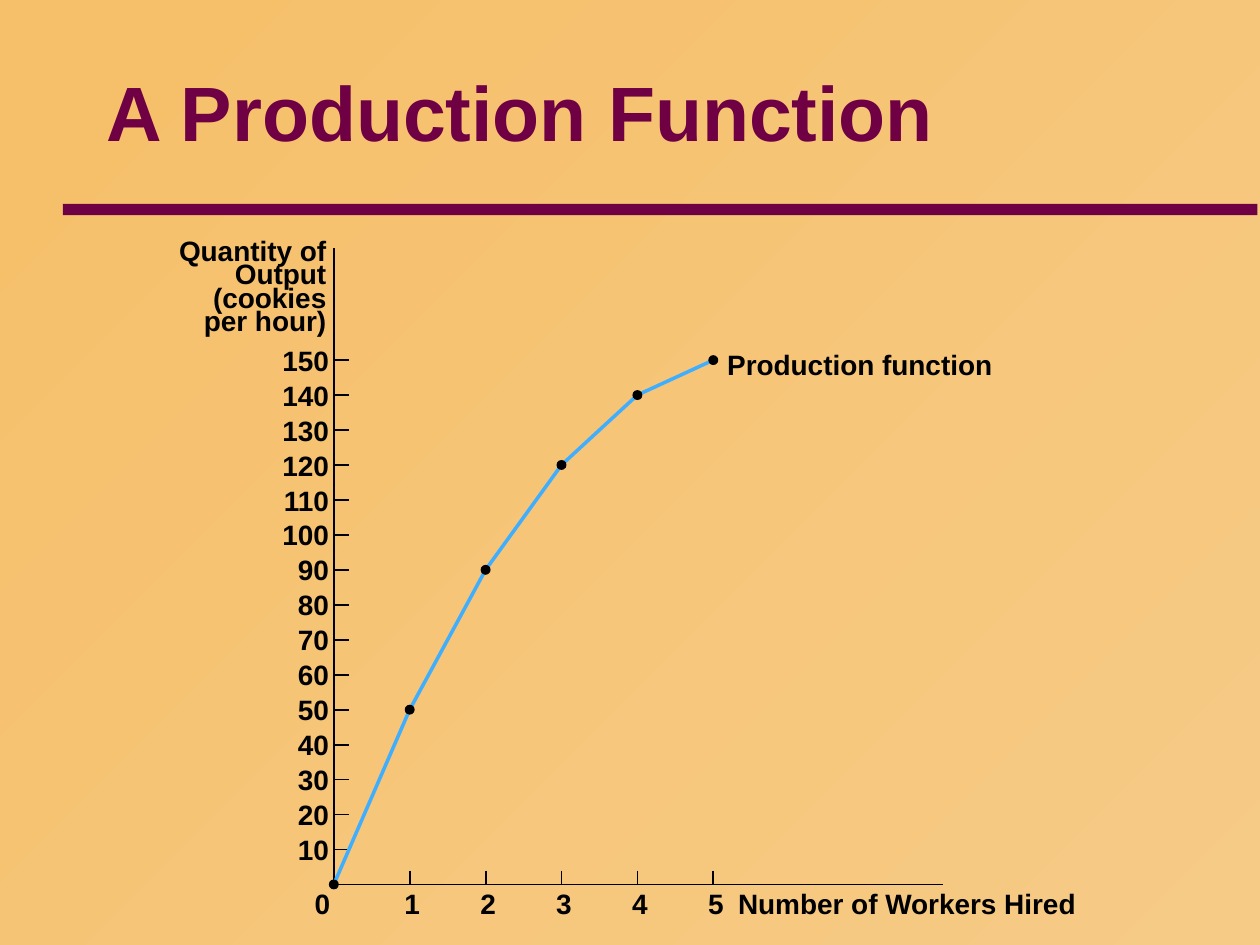
import lxml.etree
import pptx
import pptx.dml.color
import pptx.enum.shapes
import pptx.enum.text
import pptx.oxml.ns
import pptx.util

Cm = pptx.util.Cm
ALIGN = pptx.enum.text.PP_ALIGN
ANCHOR = pptx.enum.text.MSO_ANCHOR
SHAPE = pptx.enum.shapes.MSO_SHAPE

PLUM, BLACK, BLUE = "6E0043", "000000", "40AEFF"
LABEL_FONT = {"name": "Arial", "size": pptx.util.Pt(16), "bold": True}
TITLE_FONT = {**LABEL_FONT, "size": pptx.util.Pt(44)}
LABEL_FRAME = {"margin_left": 0, "margin_top": 0, "margin_right": 0,
               "margin_bottom": 0, "word_wrap": True}
LABEL_HEIGHT = 0.69
OUTPUT_BY_WORKERS = [0, 50, 90, 120, 140, 150]
WORKER_STEP = 1.53
COOKIE_STEP = 10.57 / 150


def color(hex_code):
    """Return the colour for a hex string."""
    return pptx.dml.color.RGBColor.from_string(hex_code)


def apply(target, values):
    """Set every attribute in values on target."""
    for attribute, value in values.items():
        setattr(target, attribute, value)


def write(frame, lines, font, hex_code, **paragraph_format):
    """Fill a text frame with one paragraph per line."""
    for index, line in enumerate(lines):
        paragraph = frame.paragraphs[0] if index == 0 else frame.add_paragraph()
        paragraph.text = line
        apply(paragraph, paragraph_format)
        apply(paragraph.font, font)
        paragraph.font.color.rgb = color(hex_code)


def add_label(shapes, lines, left, top, width, height=LABEL_HEIGHT, **paragraph_format):
    """Add a bold black label without margins."""
    label = shapes.add_textbox(Cm(left), Cm(top), Cm(width), Cm(height))
    apply(label.text_frame, LABEL_FRAME)
    write(label.text_frame, lines, LABEL_FONT, BLACK, **paragraph_format)


def add_tick(shapes, start, end):
    """Add a thin black tick between two points."""
    tick = shapes.add_connector(pptx.enum.shapes.MSO_CONNECTOR.STRAIGHT,
                                *(Cm(value) for value in (*start, *end)))
    tick.line.color.rgb = color(BLACK)
    tick.line.width = pptx.util.Pt(1)
    lxml.etree.SubElement(tick._element.spPr, pptx.oxml.ns.qn("a:effectLst"))


def add_path(shapes, points, hex_code, weight):
    """Add an open unfilled path through the points."""
    start, *rest = [(Cm(x), Cm(y)) for x, y in points]
    builder = shapes.build_freeform(*start)
    builder.add_line_segments(rest, close=False)
    path = builder.convert_to_shape()
    path.shadow.inherit = False
    path.fill.background()
    path.line.color.rgb = color(hex_code)
    path.line.width = pptx.util.Pt(weight)


def add_solid(shapes, kind, left, top, width, height, hex_code):
    """Add a filled shape without outline or shadow."""
    solid = shapes.add_shape(kind, Cm(left), Cm(top), Cm(width), Cm(height))
    solid.shadow.inherit = False
    solid.fill.solid()
    solid.fill.fore_color.rgb = color(hex_code)
    solid.line.fill.background()


def fill_background(slide):
    """Give the slide its diagonal amber gradient."""
    fill = slide.background.fill
    fill.gradient()
    fill.gradient_angle = 135
    for stop, hex_code in zip(fill.gradient_stops, ("F6CB86", "F6BF69")):
        stop.color.rgb = color(hex_code)


def build_heading(slide, left, top, width, height):
    """Place the title and the rule under it."""
    title = slide.shapes.title
    apply(title, {"left": Cm(left), "top": Cm(top),
                  "width": Cm(width), "height": Cm(height)})
    title.text_frame.vertical_anchor = ANCHOR.MIDDLE
    write(title.text_frame, ["A Production Function"], TITLE_FONT, PLUM,
          alignment=ALIGN.LEFT)
    add_solid(slide.shapes, SHAPE.RECTANGLE, left - 0.63, top + height + 0.3,
              24.08, 0.23, PLUM)


def build_axes(shapes, left, top, width, height):
    """Draw both axes with their ticks, numbers and titles."""
    bottom = top + height
    add_label(shapes, ["Quantity of", "Output", "(cookies", "per hour)"],
              left - 3.65, top - 0.1, 3.5, 1.9,
              alignment=ALIGN.RIGHT, line_spacing=pptx.util.Pt(13.5))
    for cookies in range(150, 0, -10):
        y = bottom - cookies * COOKIE_STEP
        add_label(shapes, [str(cookies)], left - 1.6, y - 0.34, 1.5,
                  alignment=ALIGN.RIGHT)
        add_tick(shapes, (left, y), (left + 0.3, y))
    for workers in range(6):
        x = left + workers * WORKER_STEP
        center = x + 0.05 if workers else x - 0.23
        add_label(shapes, [str(workers)], center - 0.3, bottom + 0.05, 0.6,
                  alignment=ALIGN.CENTER)
        if workers:
            add_tick(shapes, (x, bottom - 0.28), (x, bottom))
    add_label(shapes, ["Number of Workers Hired"], left + 8.15, bottom + 0.05, 7.2)
    add_path(shapes, [(left, top), (left, bottom), (left + width, bottom)], BLACK, 1)


def build_curve(shapes, left, bottom):
    """Draw the production function with a dot at each number of workers."""
    points = [(left + workers * WORKER_STEP, bottom - cookies * COOKIE_STEP)
              for workers, cookies in enumerate(OUTPUT_BY_WORKERS)]
    add_path(shapes, points, BLUE, 2)
    for x, y in points:
        add_solid(shapes, SHAPE.OVAL, x - 0.1, y - 0.1, 0.2, 0.2, BLACK)
    x, y = points[-1]
    add_label(shapes, ["Production function"], x + 0.28, y - 0.25, 5.8)


def build_graph(slide, left, top, width, height):
    """Place the grouped graph in the given plot box."""
    shapes = slide.shapes.add_group_shape().shapes
    build_axes(shapes, left, top, width, height)
    build_curve(shapes, left, top + height)


def main():
    """Build and save the slide."""
    deck = pptx.Presentation()
    apply(deck, {"slide_width": Cm(25.4), "slide_height": Cm(19.05)})
    slide = deck.slides.add_slide(deck.slide_layouts[5])
    fill_background(slide)
    build_heading(slide, 1.9, 0.64, 21.59, 3.17)
    build_graph(slide, 6.73, 5, 12.29, 12.83)
    deck.save("out.pptx")


if __name__ == "__main__":
    main()
